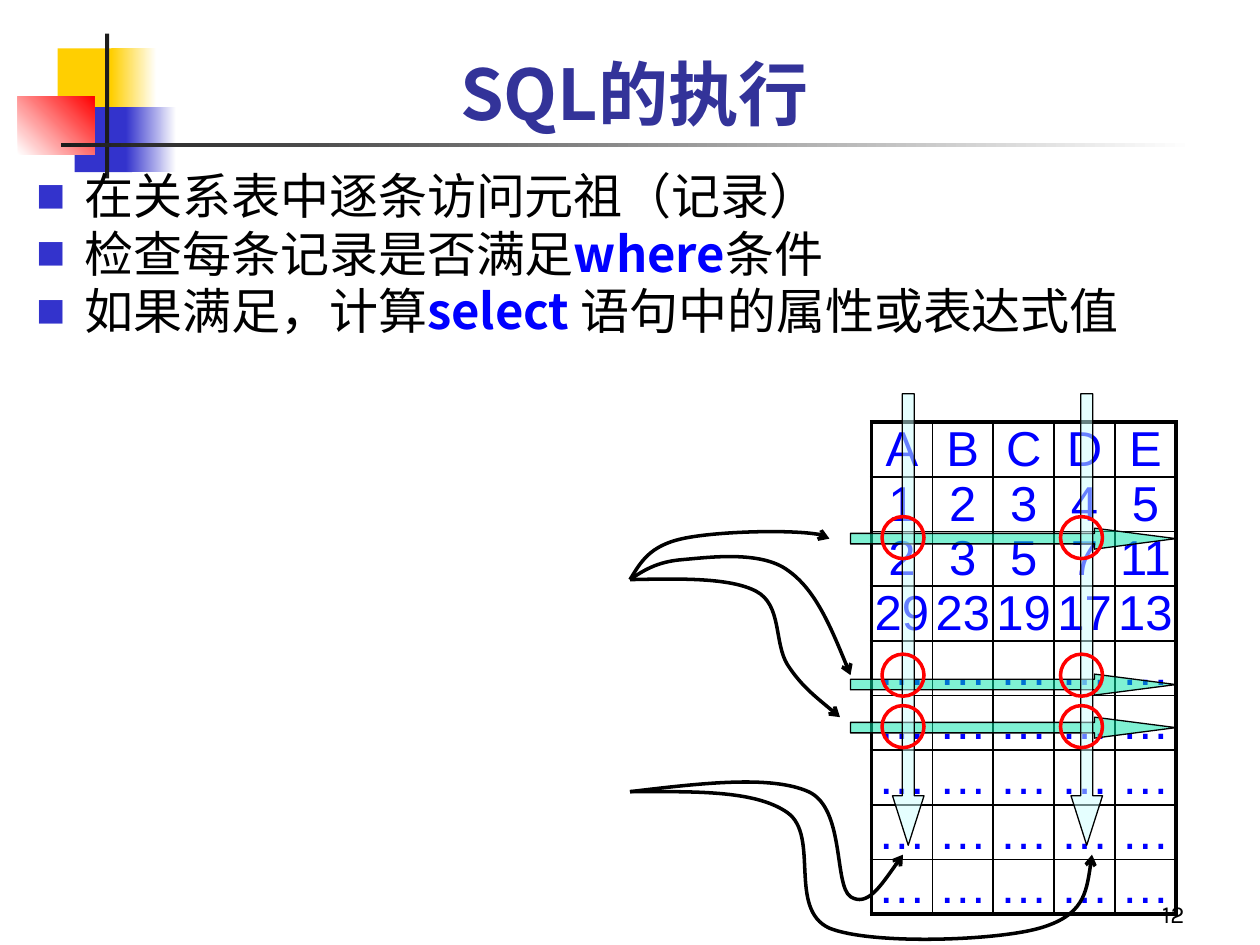
from dataclasses import dataclass
from itertools import product

from lxml import etree
from pptx import Presentation
from pptx.dml.color import RGBColor
from pptx.enum.shapes import MSO_SHAPE
from pptx.enum.text import MSO_ANCHOR, MSO_AUTO_SIZE, PP_ALIGN
from pptx.oxml.ns import qn
from pptx.util import Emu, Inches, Pt

RECT, OVAL = MSO_SHAPE.RECTANGLE, MSO_SHAPE.OVAL
RIGHT_ARROW, DOWN_ARROW = MSO_SHAPE.RIGHT_ARROW, MSO_SHAPE.DOWN_ARROW
MIDDLE, BOTTOM = MSO_ANCHOR.MIDDLE, MSO_ANCHOR.BOTTOM
CENTER, RIGHT, JUSTIFY = PP_ALIGN.CENTER, PP_ALIGN.RIGHT, PP_ALIGN.JUSTIFY
NO_AUTOFIT = MSO_AUTO_SIZE.NONE

# The slide is a grid of 120 columns by 90 rows, twelve to the inch
COLS, ROWS, PER_INCH = 120, 90, 12


@dataclass(frozen=True)
class Theme:
    cjk: str = "Noto Sans CJK SC"
    table_font: str = "Arial"
    number_font: str = "Karla"
    black: str = "000000"
    white: str = "FFFFFF"
    dark: str = "1C1C1C"
    yellow: str = "FFCF01"
    indigo: str = "3333CC"
    red: str = "FF0000"
    title: str = "333399"
    accent: str = "0000FF"
    row_arrow: str = "00E4A8"
    column_arrow: str = "CCFFFF"
    title_size: int = 40
    body_size: int = 28
    number_size: int = 14
    thin: float = 1
    thick: float = 2.25


T = Theme()

# Bullet lines as (text, highlighted) runs
BULLETS = [
    [("在关系表中逐条访问元祖（记录）", False)],
    [("检查每条记录是否满足", False), ("where", True), ("条件", False)],
    [("如果满足，计算", False), ("select ", True),
     ("语句中的属性或表达式值", False)],
]
RECORDS = [list("ABCDE"), list("12345"), ["2", "3", "5", "7", "11"],
           ["29", "23", "19", "17", "13"]] + [["…"] * 5] * 5

# Curves: a start point, then two controls and an end for every piece
ROW_START, COLUMN_START = (60, 55.2), (60, 75.4)
CURVES = [
    [ROW_START, (61, 53.6), (61.8, 52), (65, 51.3),
     (68.2, 50.6), (78.5, 50.3), (79, 51.3)],
    [ROW_START, (64.8, 55.1), (69.5, 55), (72, 56.3),
     (74.5, 57.6), (73.7, 61.2), (75, 63.3),
     (76.3, 65.3), (78.1, 66.7), (80, 68.3)],
    [ROW_START, (61.2, 54.4), (62.5, 53.5), (65, 53.3),
     (67.4, 53.1), (72.4, 52.4), (75, 54.3),
     (77.6, 56.1), (79.3, 60.1), (81, 64.3)],
    [COLUMN_START, (66.7, 74.6), (73.4, 73.8), (77, 75.4),
     (80.5, 77), (79.4, 84.3), (81, 85.4),
     (82.6, 86.4), (84.2, 83.9), (86, 81.4)],
    [COLUMN_START, (65.9, 75.4), (71.9, 75.2), (75, 77.4),
     (78.1, 79.6), (75, 86.6), (79, 88.4),
     (83, 90), (94.8, 89.6), (99, 88.4),
     (103.2, 87.2), (103.6, 84.4), (104, 81.4)],
]


def grid(*cells):
    return [Inches(c / PER_INCH) for c in cells]


def rgb(color):
    return RGBColor.from_string(color)


def add_xml(parent, tag, **attrs):
    return etree.SubElement(parent, qn(tag), attrs)


def style(font, size, name, color, bold=False):
    font.size, font.name, font.bold = Pt(size), name, bold
    font.color.rgb = rgb(color)


def style_cjk(run, size, color, bold=False):
    style(run.font, size, T.cjk, color, bold)
    add_xml(run.font._element, "a:ea", typeface=T.cjk)


def place(sp, *box):
    sp.left, sp.top, sp.width, sp.height = grid(*box)
    sp.element.getparent().append(sp.element)  # bring to front


def add_shape(s, kind, box, fill=None, line=None, width=0.75, alpha=None):
    sp = s.shapes.add_shape(kind, *grid(*box))
    sp.shadow.inherit = False
    if fill:
        sp.fill.solid()
        sp.fill.fore_color.rgb = rgb(fill)
    else:
        sp.fill.background()
    if alpha:
        clr = sp.element.spPr.find(qn("a:solidFill"))[0]
        add_xml(clr, "a:alpha", val=str(alpha * 1000))
    if line:
        sp.line.color.rgb = rgb(line)
        sp.line.width = Pt(width)
    else:
        sp.line.fill.background()
    return sp


def add_fade(s, box, start, end, angle=0):
    sp = add_shape(s, RECT, box)
    sp.fill.gradient()
    sp.fill.gradient_angle = angle
    for stop, color, pos in zip(sp.fill.gradient_stops, (start, end), (0, 1)):
        stop.color.rgb, stop.position = rgb(color), pos


def add_block_arrow(s, kind, box, fill, adjustments):
    sp = add_shape(s, kind, box, fill, T.black, alpha=50)
    for i, value in enumerate(adjustments):
        sp.adjustments[i] = value


def add_curve(s, points):
    start, *rest = [grid(*p) for p in points]
    builder = s.shapes.build_freeform(*start, scale=1.0)
    builder.add_line_segments(rest, close=False)
    sp = builder.convert_to_shape()
    sp.shadow.inherit = False
    sp.fill.background()
    sp.line.color.rgb, sp.line.width = rgb(T.black), Pt(2)
    add_xml(sp.line._get_or_add_ln(), "a:tailEnd", type="arrow")
    # Turn every three straight pieces into one Bézier piece
    outline = sp.element.find(".//" + qn("a:path"))
    pieces = outline.findall(qn("a:lnTo"))
    for i in range(0, len(pieces), 3):
        bezier = add_xml(outline, "a:cubicBezTo")
        for piece in pieces[i:i + 3]:
            bezier.append(piece[0])
            outline.remove(piece)


def add_decor(s):
    add_shape(s, RECT, (5.5, 4.6, 5.8, 6.2), T.yellow)
    add_fade(s, (10.6, 4.6, 4.3, 6.2), T.yellow, T.white)
    add_shape(s, RECT, (7.1, 10.2, 5.5, 6.2), T.indigo)
    add_fade(s, (12, 10.2, 4.8, 6.2), T.indigo, T.white)
    add_fade(s, (1.7, 9.2, 7.3, 5.5), T.white, T.red, angle=45)
    add_shape(s, RECT, (10, 3.2, 0.4, 13.8), T.dark)
    add_fade(s, (5.8, 13.6, 108, 0.4), T.dark, T.white)


def fill_title(sp, text):
    place(sp, 4.7, 2.2, 111.4, 11.2)
    tf = sp.text_frame
    tf.text, tf.vertical_anchor, tf.auto_size = text, BOTTOM, NO_AUTOFIT
    p = tf.paragraphs[0]
    p.alignment = CENTER
    style_cjk(p.runs[0], T.title_size, T.title, True)


def fill_body(sp):
    place(sp, 2.3, 15.8, 115.6, 71)
    tf = sp.text_frame
    tf.auto_size = NO_AUTOFIT
    for i, runs in enumerate(BULLETS):
        p = tf.add_paragraph() if i else tf.paragraphs[0]
        p.alignment, p.line_spacing = JUSTIFY, 0.9
        p.space_before = Pt(2.6 if i else 0)
        pPr = p._p.get_or_add_pPr()
        pPr.set("marL", str(Inches(0.38)))
        pPr.set("indent", str(-Inches(0.38)))
        add_xml(add_xml(pPr, "a:buClr"), "a:srgbClr", val=T.indigo)
        add_xml(pPr, "a:buSzPct", val="60000")
        add_xml(pPr, "a:buFont", typeface=T.cjk)
        add_xml(pPr, "a:buChar", char="■")
        for text, marked in runs:
            r = p.add_run()
            r.text = text
            style_cjk(r, T.body_size, T.accent if marked else T.black, marked)


def set_borders(cell, widths):
    tcPr = cell._tc.get_or_add_tcPr()
    for i, (side, width) in enumerate(zip("LRTB", widths)):
        ln = etree.Element(qn("a:ln" + side), w=str(Pt(width)))
        add_xml(add_xml(ln, "a:solidFill"), "a:srgbClr", val=T.black)
        tcPr.insert(i, ln)


def add_records(s):
    rows, cols = len(RECORDS), len(RECORDS[0])
    box = grid(83, 40.2, 5.8 * cols, 4.44 * rows)
    table = s.shapes.add_table(rows, cols, *box).table
    table.first_row = table.horz_banding = False
    for i, j in product(range(rows), range(cols)):
        cell = table.cell(i, j)
        cell.text, cell.vertical_anchor = RECORDS[i][j], MIDDLE
        cell.margin_left = cell.margin_right = Emu(0)
        cell.margin_top = cell.margin_bottom = Emu(0)
        cell.fill.background()
        outer = (j == 0, j == cols - 1, i == 0, i == rows - 1)
        set_borders(cell, [T.thick if edge else T.thin for edge in outer])
        p = cell.text_frame.paragraphs[0]
        p.alignment = CENTER
        style(p.runs[0].font, T.body_size, T.table_font, T.accent)


def add_number(s, text):
    tf = s.shapes.add_textbox(*grid(89, 83, 25, 6)).text_frame
    tf.word_wrap, tf.vertical_anchor, tf.text = True, BOTTOM, text
    p = tf.paragraphs[0]
    p.alignment = RIGHT
    style(p.runs[0].font, T.number_size, T.number_font, T.black)


def main():
    prs = Presentation()
    prs.slide_width, prs.slide_height = grid(COLS, ROWS)
    s = prs.slides.add_slide(prs.slide_layouts[1])
    add_decor(s)
    fill_title(s.shapes.title, "SQL的执行")
    fill_body(s.placeholders[1])
    add_records(s)
    # Matching rows, then the selected columns
    for y in (50.3, 68.3, 64.2):
        add_block_arrow(s, RIGHT_ARROW, (81, y, 31, 2), T.row_arrow, (0.5, 3.88))
    for points in CURVES[:3]:
        add_curve(s, points)
    for x in (85, 102):
        add_block_arrow(s, DOWN_ARROW, (x, 37.5, 3, 43), T.column_arrow, (0.38, 1.57))
    for points in CURVES[3:]:
        add_curve(s, points)
    # Rings where rows and columns cross
    for x, y in product((84, 101), (49.2, 62.3, 67.2)):
        add_shape(s, OVAL, (x, y, 4, 4), line=T.red, width=2)
    add_number(s, "12")
    prs.save("out.pptx")


if __name__ == "__main__":
    main()
